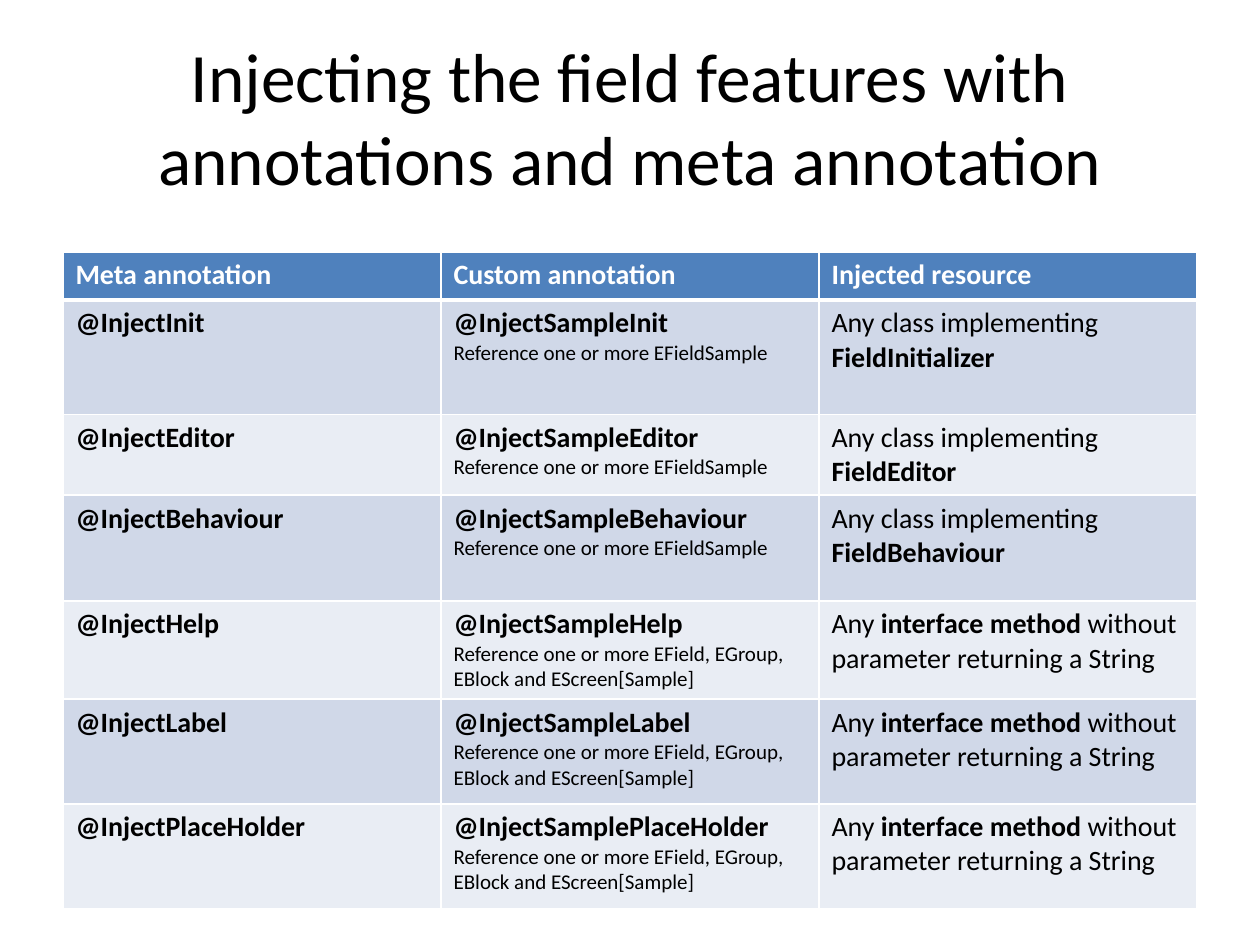
from lxml.etree import SubElement
from pptx import Presentation
from pptx.dml.color import RGBColor
from pptx.enum.text import MSO_ANCHOR, PP_ALIGN
from pptx.oxml.ns import qn
from pptx.util import Inches, Pt

BLACK, WHITE, BLUE = "000000", "FFFFFF", "4F81BD"
BANDS = ("D0D8E8", "E9EDF4")
HEADERS = ("Meta annotation", "Custom annotation", "Injected resource")
FIELD = "Reference one or more EFieldSample"
BLOCK = "Reference one or more EField, EGroup, EBlock and EScreen[Sample]"
FEATURES = (
    ("Init", "FieldInitializer", 0.91),
    ("Editor", "FieldEditor", 0.64),
    ("Behaviour", "FieldBehaviour", 0.84),
    ("Help", None, 0.78),
    ("Label", None, 0.83),
    ("PlaceHolder", None, 0.83),
)


def rgb(value):
    return RGBColor.from_string(value)


def add_text(p, text, size=16, bold=False, color=BLACK, font="Calibri"):
    r = p.add_run()
    r.text = text
    r.font.size = Pt(size)
    r.font.bold = bold
    r.font.name = font
    r.font.color.rgb = rgb(color)


def feature_cells(name, target):
    if target:
        reference = FIELD
        resource = [("Any class implementing ", {}), (target, {"bold": True})]
    else:
        reference = BLOCK
        resource = [("Any ", {}), ("interface method ", {"bold": True}),
                    ("without parameter returning a String", {})]
    return (
        [[(f"@Inject{name}", {"bold": True})]],
        [[(f"@InjectSample{name}", {"bold": True})], [(reference, {"size": 12})]],
        [resource],
    )


class SlideBuilder:
    """Hold the style and the current slide, and add elements to it."""

    def __init__(self, prs):
        self.border = WHITE
        self.s = prs.slides.add_slide(prs.slide_layouts[6])

    def title(self, text, left, top, width, height):
        sp = self.s.shapes.add_textbox(
            Inches(left), Inches(top), Inches(width), Inches(height))
        tf = sp.text_frame
        tf.word_wrap = True
        tf.vertical_anchor = MSO_ANCHOR.MIDDLE
        p = tf.paragraphs[0]
        p.alignment = PP_ALIGN.CENTER
        add_text(p, text, size=39.6)

    def borders(self, cell, top=1, bottom=1):
        tc_pr = cell._tc.get_or_add_tcPr()
        for side, width in (("L", 1), ("R", 1), ("T", top), ("B", bottom)):
            ln = SubElement(tc_pr, qn(f"a:ln{side}"), w=str(Pt(width)))
            SubElement(SubElement(ln, qn("a:solidFill")), qn("a:srgbClr"), val=self.border)

    def cell(self, cell, paragraphs, fill, **widths):
        self.borders(cell, **widths)
        cell.fill.solid()
        cell.fill.fore_color.rgb = rgb(fill)
        tf = cell.text_frame
        for i, runs in enumerate(paragraphs):
            p = tf.add_paragraph() if i else tf.paragraphs[0]
            for text, style in runs:
                add_text(p, text, **style)

    def table(self, rows, heights, left, top, width):
        table = self.s.shapes.add_table(
            len(rows), len(rows[0]), Inches(left), Inches(top),
            Inches(width), Inches(sum(heights))).table
        for i, (row, height) in enumerate(zip(rows, heights)):
            table.rows[i].height = Inches(height)
            fill = BANDS[(i - 1) % 2] if i else BLUE
            widths = {0: {"bottom": 3}, 1: {"top": 3}}.get(i, {})
            for j, paragraphs in enumerate(row):
                self.cell(table.cell(i, j), paragraphs, fill, **widths)


def main():
    prs = Presentation()
    prs.slide_width, prs.slide_height = Inches(10), Inches(7.5)
    slide = SlideBuilder(prs)
    slide.title("Injecting the field features with annotations and meta annotation",
                0.5, 0.3, 9, 1.25)
    header = [[[(text, {"bold": True, "color": WHITE})]] for text in HEADERS]
    rows = [header] + [feature_cells(name, target) for name, target, _ in FEATURES]
    heights = [0.38] + [height for _, _, height in FEATURES]
    slide.table(rows, heights, 0.5, 2, 9)
    prs.save("out.pptx")


if __name__ == "__main__":
    main()
